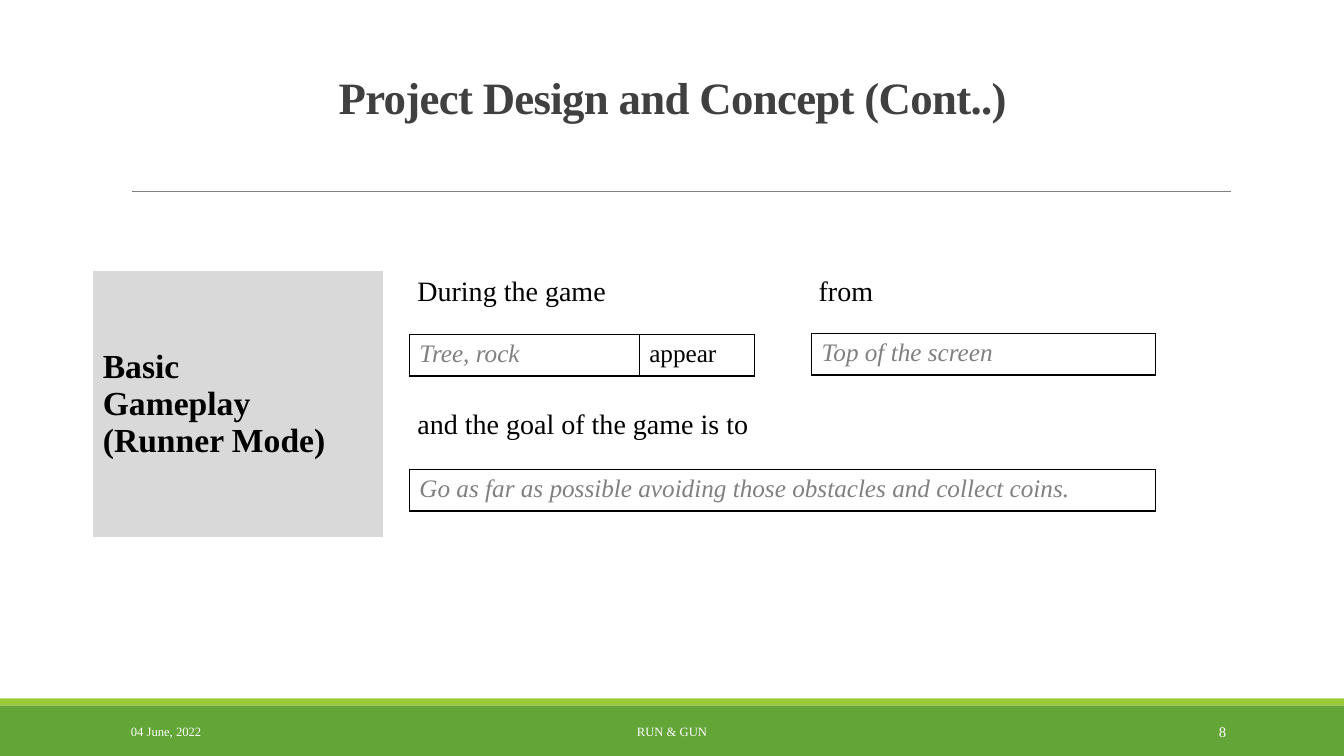
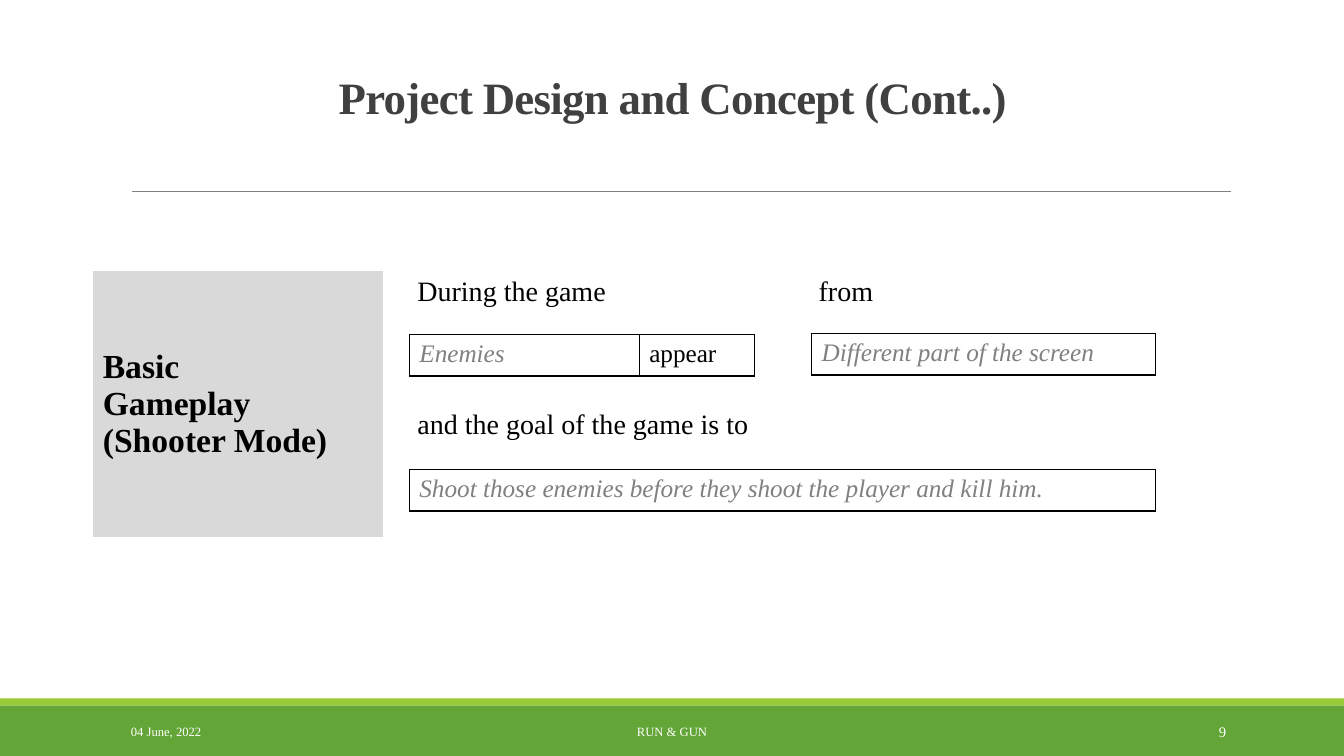
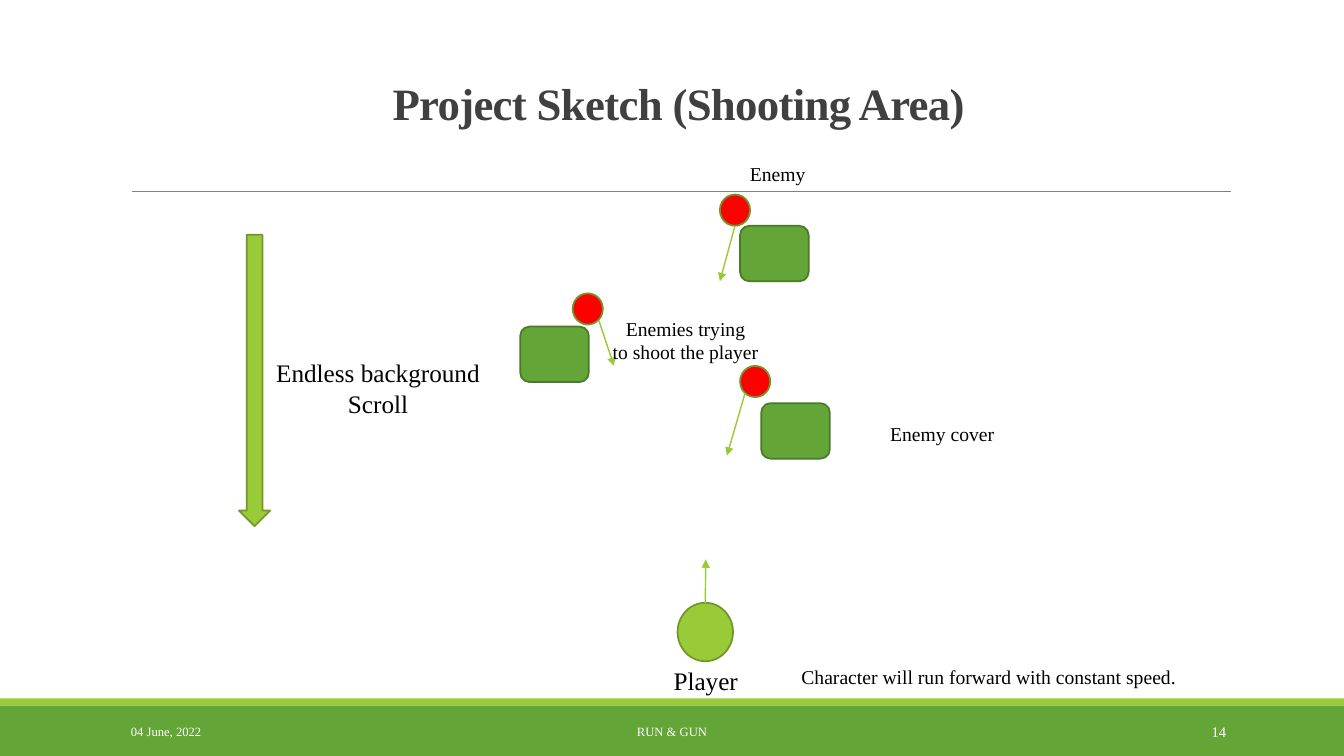
from pptx import Presentation
from pptx.dml.color import RGBColor
from pptx.enum.shapes import MSO_CONNECTOR, MSO_SHAPE
from pptx.enum.text import MSO_ANCHOR, MSO_AUTO_SIZE, PP_ALIGN
from pptx.oxml import parse_xml
from pptx.oxml.ns import nsdecls, qn
from pptx.util import Inches, Pt
from lxml.etree import SubElement

hue = RGBColor.from_string
FONT = "Times New Roman"
GREEN, LIME, OLIVE, MOSS = "63A537", "99CB38", "719629", "497A29"
BLACK, WHITE, GRAY, DARK, PALE, RED = "000000", "FFFFFF", "808080", "404040", "D9D9D9", "FF0000"
LEFT, MID, RIGHT = PP_ALIGN.LEFT, PP_ALIGN.CENTER, PP_ALIGN.RIGHT


def write(frame, lines, size, shade=BLACK, align=LEFT, bold=False, slant=False):
    for i, line in enumerate(lines):
        par = frame.add_paragraph() if i else frame.paragraphs[0]
        par.alignment = align
        run = par.add_run()
        run.text = line
        font = run.font
        font.name, font.size = FONT, Pt(size)
        font.bold, font.italic = bold, slant
        font.color.rgb = hue(shade)


def link(slide, ends, shade, weight):
    line = slide.shapes.add_connector(MSO_CONNECTOR.STRAIGHT, *map(Inches, ends))
    line.line.color.rgb = hue(shade)
    line.line.width = Pt(weight)
    SubElement(line.element.spPr, qn("a:effectLst"))
    return line


deck = Presentation()
deck.slide_width, deck.slide_height = Inches(13.33), Inches(7.5)
layout = deck.slide_layouts[5]

pages = [
    ("8", "Project Design and Concept (Cont..)", (1.17, 0.64, 11, 0.64)),
    ("9", "Project Design and Concept (Cont..)", (1.17, 0.64, 11, 0.64)),
    ("14", "Project Sketch (Shooting Area)", (1.23, 0.67, 11, 0.67)),
]
slides = []
for number, head, box in pages:
    slide = deck.slides.add_slide(layout)
    slides.append(slide)
    title = slide.shapes.title
    title.left, title.top, title.width, title.height = map(Inches, box)
    frame = title.text_frame
    frame.auto_size = MSO_AUTO_SIZE.NONE
    frame.vertical_anchor = MSO_ANCHOR.BOTTOM
    write(frame, [head], 32, DARK, MID, bold=True)
    par = frame.paragraphs[0]
    par.line_spacing = 0.85
    par.runs[0].font._element.set("spc", "-50")
    for left, width, text, size, align in [
        (1.2, 2.7, "04 June, 2022", 9, LEFT),
        (4.03, 5.27, "RUN & GUN", 9, MID),
        (10.83, 1.43, number, 10.5, RIGHT),
    ]:
        foot = slide.shapes.add_textbox(Inches(left), Inches(7.06), Inches(width), Inches(0.4))
        foot.text_frame.word_wrap = True
        foot.text_frame.vertical_anchor = MSO_ANCHOR.MIDDLE
        write(foot.text_frame, [text], size, WHITE, align)

shared = [link(slides[0], (1.31, 1.9, 12.21, 1.9), GRAY, 0.5)]
for top, height, shade in [(7, 0.5, GREEN), (6.93, 0.07, LIME)]:
    band = slides[0].shapes.add_shape(
        MSO_SHAPE.RECTANGLE, 0, Inches(top), deck.slide_width, Inches(height))
    band.shadow.inherit = False
    band.fill.solid()
    band.fill.fore_color.rgb = hue(shade)
    band.line.fill.background()
    shared.append(band)
for i, part in enumerate(shared):
    part.element.xpath("./*/p:cNvPr")[0].set("id", str(50 + i))
    layout.shapes.element.insert(2, part.element)

modes = [
    ("(Runner Mode)", "Tree, rock", "Top of the screen",
     "Go as far as possible avoiding those obstacles and collect coins."),
    ("(Shooter Mode)", "Enemies", "Different part of the screen",
     "Shoot those enemies before they shoot the player and kill him."),
]
for slide, (mode, threat, place, goal) in zip(slides, modes):
    grids = [
        (0.92, 2.69, [2.88, 0.23, 3.98, 4.42], [1.32, 1.32]),
        (4.06, 3.32, [2.28, 1.14], [0.41]),
        (8.05, 3.31, [3.41], [0.41]),
        (4.06, 4.66, [7.4], [0.41]),
    ]
    tables = []
    for left, top, cols, rows in grids:
        table = slide.shapes.add_table(
            len(rows), len(cols), Inches(left), Inches(top),
            Inches(sum(cols)), Inches(sum(rows))).table
        tables.append(table)
        table.first_row = table.horz_banding = False
        for col, width in zip(table.columns, cols):
            col.width = Inches(width)
        for row, height in zip(table.rows, rows):
            row.height = Inches(height)
        edge = "<a:noFill/>"
        if len(rows) == 1:
            edge = f'<a:solidFill><a:srgbClr val="{BLACK}"/></a:solidFill>'
        for cell in table.iter_cells():
            cell.fill.background()
            props = cell._tc.get_or_add_tcPr()
            for i, side in enumerate("LRTB"):
                props.insert(i, parse_xml(
                    f'<a:ln{side} {nsdecls("a")} w="12700">{edge}</a:ln{side}>'))

    main, foes, place_box, goal_box = tables
    label = main.cell(0, 0)
    label.merge(main.cell(1, 0))
    label.fill.solid()
    label.fill.fore_color.rgb = hue(PALE)
    label.vertical_anchor = MSO_ANCHOR.MIDDLE
    write(label.text_frame, ["Basic", "Gameplay", mode], 24, bold=True)
    main.cell(1, 2).merge(main.cell(1, 3))
    for row, col, text in [(0, 2, "During the game"), (0, 3, "from"),
                           (1, 2, "and the goal of the game is to")]:
        write(main.cell(row, col).text_frame, [text], 20)
    for table, text in [(foes, threat), (place_box, place), (goal_box, goal)]:
        write(table.cell(0, 0).text_frame, [text], 18, GRAY, slant=True)
    write(foes.cell(0, 1).text_frame, ["appear"], 18)

sketch = slides[2]
forms = [(MSO_SHAPE.DOWN_ARROW, 2.37, 2.33, 0.31, 2.89, LIME, OLIVE)]
for left, top in [(7.55, 4), (5.16, 3.24), (7.34, 2.24)]:
    forms.append((MSO_SHAPE.ROUNDED_RECTANGLE, left, top, 0.68, 0.55, GREEN, MOSS))
for left, top in [(5.68, 2.91), (7.14, 1.93), (7.34, 3.63)]:
    forms.append((MSO_SHAPE.OVAL, left, top, 0.3, 0.31, RED, OLIVE))
forms.append((MSO_SHAPE.OVAL, 6.72, 5.98, 0.55, 0.58, LIME, OLIVE))
for kind, left, top, width, height, fill, edge in forms:
    form = sketch.shapes.add_shape(kind, *map(Inches, (left, top, width, height)))
    form.shadow.inherit = False
    form.fill.solid()
    form.fill.fore_color.rgb = hue(fill)
    form.line.color.rgb = hue(edge)
    form.line.width = Pt(1.25)
player = form

for ends in [(7.39, 3.9, 7.21, 4.52), (5.94, 3.18, 6.09, 3.63),
             (7.29, 2.24, 7.14, 2.79), (7, 5.98, 7, 5.55)]:
    shot = link(sketch, ends, LIME, 1)
    SubElement(shot.line._get_or_add_ln(), qn("a:tailEnd"), type="triangle")
shot.begin_connect(player, 0)

notes = [
    (6.55, 6.55, 0.9, 0.4, ["Player"], 18, MID, True),
    (7.85, 6.55, 3.95, 0.34, ["Character will run forward with constant speed."], 14, LEFT, False),
    (8.73, 4.14, 1.24, 0.34, ["Enemy cover"], 14, LEFT, False),
    (7.34, 1.56, 0.76, 0.34, ["Enemy"], 14, LEFT, False),
    (5.97, 3.09, 1.66, 0.57, ["Enemies trying", "to shoot the player"], 14, MID, False),
    (2.63, 3.5, 2.24, 0.71, ["Endless background", "Scroll"], 18, MID, False),
]
for left, top, width, height, lines, size, align, wrap in notes:
    note = sketch.shapes.add_textbox(*map(Inches, (left, top, width, height)))
    note.text_frame.word_wrap = wrap
    note.text_frame.auto_size = MSO_AUTO_SIZE.SHAPE_TO_FIT_TEXT
    write(note.text_frame, lines, size, align=align)

deck.save("out.pptx")
